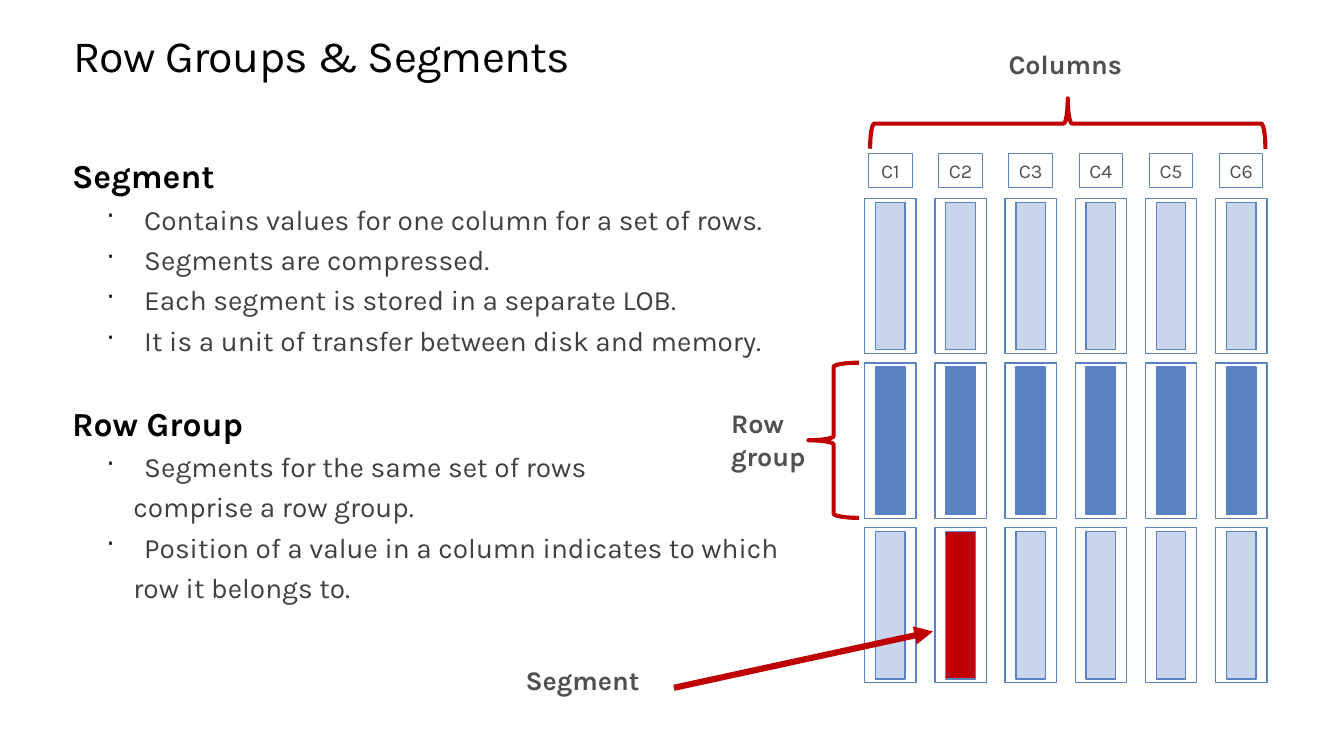
"""Builds the slide that explains row groups and segments."""
from lxml import etree
from pptx import Presentation
from pptx.dml.color import RGBColor
from pptx.enum.shapes import MSO_CONNECTOR, MSO_SHAPE
from pptx.enum.text import MSO_ANCHOR, PP_ALIGN
from pptx.oxml.ns import qn
from pptx.util import Inches, Pt

RECT, BRACE = MSO_SHAPE.RECTANGLE, MSO_SHAPE.RIGHT_BRACE
STRAIGHT = MSO_CONNECTOR.STRAIGHT
LEFT, CENTER = PP_ALIGN.LEFT, PP_ALIGN.CENTER
TOP, MIDDLE = MSO_ANCHOR.TOP, MSO_ANCHOR.MIDDLE

BLACK, BODY, GREY = "000000", "3F3F3F", "505050"
BLUE, PALE, RED = "5A81C0", "C8D5EA", "C00000"

HEADING, BULLET, CONTINUED = "heading", "bullet", "continued"
NOTES = [
    (HEADING, "Segment"),
    (BULLET, "Contains values for one column for a set of rows."),
    (BULLET, "Segments are compressed."),
    (BULLET, "Each segment is stored in a separate LOB."),
    (BULLET, "It is a unit of transfer between disk and memory."),
    (HEADING, "Row Group"),
    (BULLET, "Segments for the same set of rows"),
    (CONTINUED, "comprise a row group."),
    (BULLET, "Position of a value in a column indicates to which"),
    (CONTINUED, "row it belongs to."),
]


def rgb(value):
    return RGBColor.from_string(value)


def write(p, text, size=19.6, color=GREY, bold=False, align=LEFT, before=0, spacing=None):
    p.alignment = align
    p.space_before = Pt(before)
    if spacing:
        p.line_spacing = Pt(spacing)
    r = p.add_run()
    r.text = text
    r.font.name = "Karla"
    r.font.size = Pt(size)
    r.font.bold = bold
    r.font.color.rgb = rgb(color)
    return r


def indent(p, left, first=0, bullet=None):
    pPr = p._p.get_or_add_pPr()
    pPr.set("marL", str(Inches(left)))
    pPr.set("indent", str(Inches(first)))
    if bullet:
        clr = etree.SubElement(pPr, qn("a:buClr"))
        etree.SubElement(clr, qn("a:srgbClr"), val=BLACK)
        etree.SubElement(pPr, qn("a:buSzPct"), val="90000")
        etree.SubElement(pPr, qn("a:buChar"), char=bullet)


class Deck:
    """Holds the style and the current slide."""

    def __init__(self, width, height):
        self.prs = Presentation()
        self.prs.slide_width, self.prs.slide_height = Inches(width), Inches(height)
        self.s = self.prs.slides.add_slide(self.prs.slide_layouts[6])

    def box(self, x, y, w, h, inset=True):
        tf = self.s.shapes.add_textbox(Inches(x), Inches(y), Inches(w), Inches(h)).text_frame
        tf.word_wrap = True
        tf.vertical_anchor = TOP
        if not inset:
            tf.margin_left = tf.margin_right = tf.margin_top = tf.margin_bottom = 0
        return tf

    def label(self, text, x, y, w, h=0.44, align=LEFT):
        write(self.box(x, y, w, h).paragraphs[0], text, bold=True, align=align)

    def shape(self, kind, x, y, w, h, fill=None, line=BLUE, weight=1, rotation=0):
        sp = self.s.shapes.add_shape(kind, Inches(x), Inches(y), Inches(w), Inches(h))
        sp.shadow.inherit = False
        sp.rotation = rotation
        if fill:
            sp.fill.solid()
            sp.fill.fore_color.rgb = rgb(fill)
        else:
            sp.fill.background()
        sp.line.color.rgb = rgb(line)
        sp.line.width = Pt(weight)
        return sp

    def column_header(self, text, x, y):
        tf = self.shape(RECT, x, y, 0.44, 0.35, weight=0.75).text_frame
        tf.word_wrap = False
        tf.vertical_anchor = MIDDLE
        write(tf.paragraphs[0], text, size=14.3, align=CENTER)

    def segment(self, x, y, fill):
        self.shape(RECT, x + 0.11, y + 0.04, 0.3, 1.49, fill)
        self.shape(RECT, x, y, 0.52, 1.57)

    def arrow(self, x1, y1, x2, y2):
        c = self.s.shapes.add_connector(STRAIGHT, Inches(x1), Inches(y1), Inches(x2), Inches(y2))
        c.line.color.rgb = rgb(RED)
        c.line.width = Pt(4.5)
        etree.SubElement(c.line._get_or_add_ln(), qn("a:tailEnd"), type="triangle")
        etree.SubElement(c._element.spPr, qn("a:effectLst"))

    def title(self, text):
        p = self.box(0.74, 0.31, 12.14, 0.51, inset=False).paragraphs[0]
        r = write(p, text, size=32.6, color=BLACK, spacing=36.9)
        r.font._element.set("spc", "-50")

    def notes(self, items):
        tf = self.box(0.73, 1.57, 7.6, 5.38, inset=False)
        for i, (kind, text) in enumerate(items):
            p = tf.add_paragraph() if i else tf.paragraphs[0]
            if kind == HEADING:
                write(p, text, size=24.5, color=BLACK, bold=True, before=33.2 if i else 0)
                continue
            if kind == BULLET:
                indent(p, 0.73, -0.38, "·")
            else:
                indent(p, 0.62)
            write(p, text, size=20.4, color=BODY, before=4.9)


def main():
    deck = Deck(13.6, 7.65)
    deck.title("Row Groups & Segments")
    deck.notes(NOTES)

    for col in range(6):
        x = 8.75 + 0.71 * col
        deck.column_header(f"C{col + 1}", x + 0.04, 1.55)
        for row, fill in enumerate([PALE, BLUE, RED if col == 1 else PALE]):
            deck.segment(x, 2.01 + 1.665 * row, fill)

    deck.shape(BRACE, 10.55, -0.75, 0.51, 4, line=RED, weight=3, rotation=270)
    deck.shape(BRACE, 8.18, 3.67, 0.51, 1.57, line=RED, weight=3, rotation=180)
    deck.label("Columns", 9.81, 0.43, 1.94, align=CENTER)
    deck.label("Row group", 7.3, 4.07, 1.03, 0.78)
    deck.label("Segment", 5.22, 6.67, 1.6)
    deck.arrow(6.82, 6.96, 9.44, 6.39)
    deck.prs.save("out.pptx")


if __name__ == "__main__":
    main()
